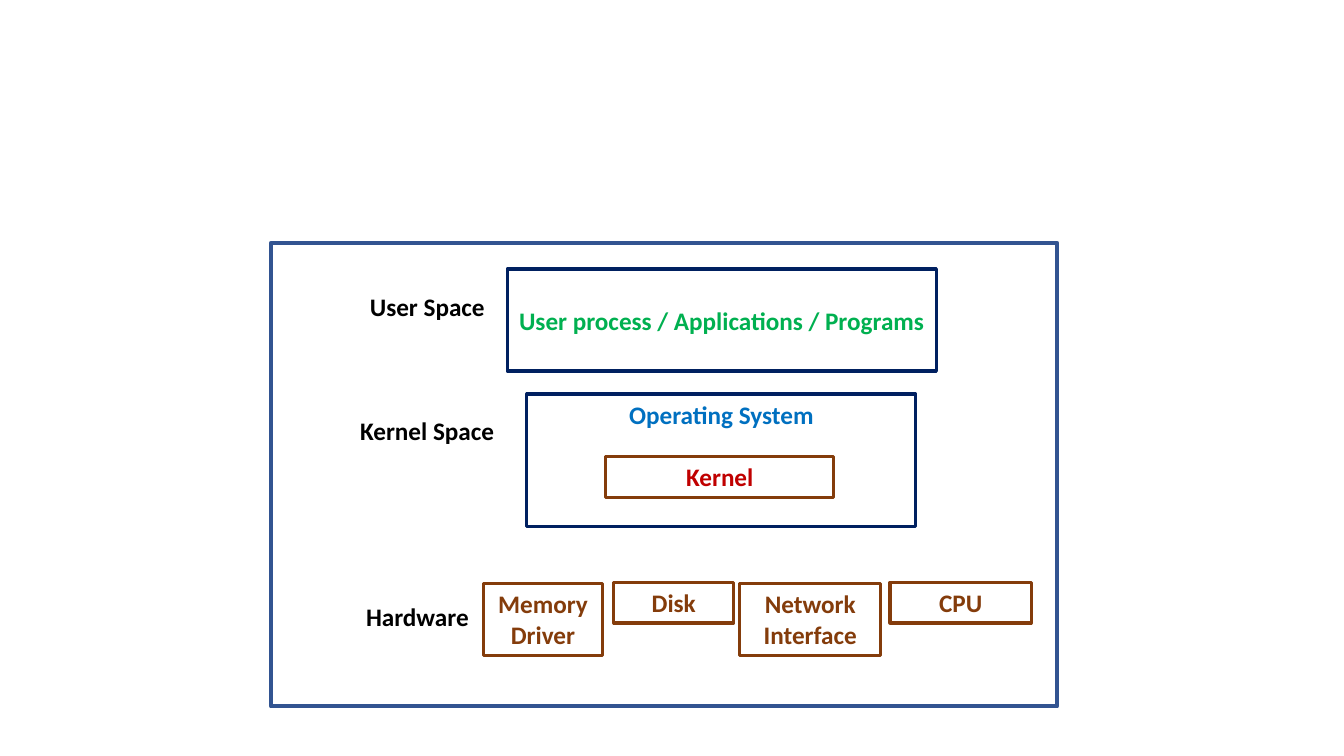
from pptx import Presentation
from pptx.dml.color import RGBColor
from pptx.enum.shapes import MSO_SHAPE
from pptx.enum.text import MSO_ANCHOR, PP_ALIGN
from pptx.util import Cm, Pt

RECTANGLE = MSO_SHAPE.RECTANGLE
TOP, MIDDLE = MSO_ANCHOR.TOP, MSO_ANCHOR.MIDDLE
CENTER = PP_ALIGN.CENTER

BLACK = RGBColor(0x00, 0x00, 0x00)
NAVY = RGBColor(0x00, 0x20, 0x60)
BROWN = RGBColor(0x84, 0x3C, 0x0B)
BLUE = RGBColor(0x00, 0x70, 0xC0)
RED = RGBColor(0xC0, 0x00, 0x00)
GREEN = RGBColor(0x00, 0xB0, 0x50)
FRAME_BLUE = RGBColor(0x32, 0x54, 0x91)

ONE_LINE, TWO_LINES = 1.02, 1.8  # box heights in cm

# Layer boxes: text, (left, top, width, height) in cm, line, text colour, anchor
LAYERS = [
    ("Operating System", (13.28, 9.93, 9.8, 3.33), NAVY, BLUE, TOP),
    ("Kernel", (15.27, 11.51, 5.74, ONE_LINE), BROWN, RED, TOP),
    ("User process / Applications / Programs", (12.78, 6.78, 10.82, 2.57),
     NAVY, GREEN, MIDDLE),
]
# Hardware boxes: text, left, top, width, height in cm
HARDWARE = [
    ("Memory Driver", 12.19, 14.71, 2.99, TWO_LINES),
    ("Disk", 15.47, 14.68, 3.02, ONE_LINE),
    ("Network Interface", 18.64, 14.71, 3.56, TWO_LINES),
    ("CPU", 22.43, 14.68, 3.56, ONE_LINE),
]
# Layer labels: text, left, top, width in cm
LABELS = [
    ("User Space", 8.99, 7.21, 3.56),
    ("Kernel Space", 8.53, 10.34, 4.47),
    ("Hardware", 8.74, 15.04, 3.56),
]
FRAME = (6.83, 6.12, 19.81, 11.68)

presentation = Presentation()
presentation.slide_width = Cm(33.87)
presentation.slide_height = Cm(19.05)
slide = presentation.slides.add_slide(presentation.slide_layouts[6])


def write(shape, text, color, anchor=TOP):
    text_frame = shape.text_frame
    text_frame.word_wrap = True
    text_frame.vertical_anchor = anchor
    text_frame.text = text
    paragraph = text_frame.paragraphs[0]
    paragraph.alignment = CENTER
    font = paragraph.runs[0].font
    font.name, font.size, font.bold = "Calibri", Pt(18), True
    font.color.rgb = color


def add_box(place, line_color, line_width=2.25):
    shape = slide.shapes.add_shape(RECTANGLE, *map(Cm, place))
    shape.shadow.inherit = False
    shape.fill.background()
    shape.line.color.rgb = line_color
    shape.line.width = Pt(line_width)
    return shape


# User and kernel layers
for text, place, line_color, text_color, anchor in LAYERS:
    write(add_box(place, line_color), text, text_color, anchor)

# Hardware layer
for text, *place in HARDWARE:
    write(add_box(place, BROWN), text, BROWN)

# Layer labels
for text, *place in LABELS:
    label = slide.shapes.add_textbox(*map(Cm, (*place, ONE_LINE)))
    write(label, text, BLACK)

# Outer frame
add_box(FRAME, FRAME_BLUE, 3)

presentation.save("out.pptx")
